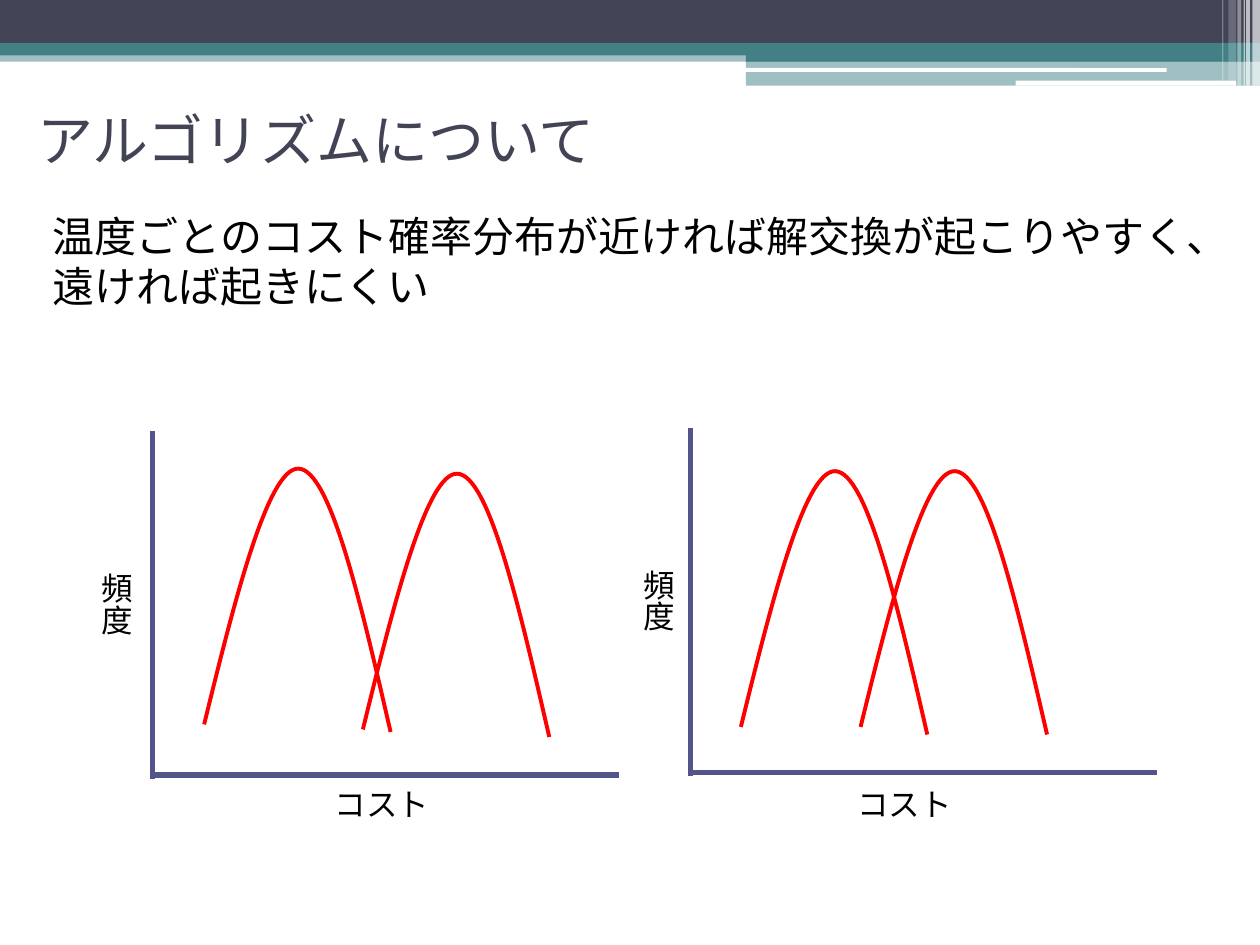
from dataclasses import dataclass

from lxml import etree
from pptx import Presentation
from pptx import util as u
from pptx.dml.color import RGBColor
from pptx.enum import shapes, text
from pptx.oxml import ns


@dataclass(frozen=True)
class Theme:
    dark: str = "424456"
    teal: str = "438086"
    axis: str = "53548A"
    curve: str = "FF0000"
    ink: str = "000000"
    white: str = "FFFFFF"
    head: str = "Lato"
    body: str = "Noto Serif"
    title: int = 32
    lead: int = 24
    label: int = 18


THEME = Theme()
RECT = shapes.MSO_SHAPE.RECTANGLE
ROUND = shapes.MSO_SHAPE.ROUNDED_RECTANGLE

# left, top, width, height, colour, opacity in percent, preset
BANDS = [
    (0, 0.4, 10, 0.09, THEME.teal, 50, RECT),
    (0, 0, 10, 0.34, THEME.dark, 100, RECT),
    (0, 0.34, 10, 0.1, THEME.teal, 100, RECT),
    (5.92, 0.39, 4.08, 0.1, THEME.teal, 100, RECT),
    (5.92, 0.48, 4.08, 0.2, THEME.teal, 50, RECT),
    (5.91, 0.54, 3.35, 0.03, THEME.white, 100, ROUND),
    (8.06, 0.64, 1.75, 0.04, THEME.white, 100, ROUND),
]
# left, width, height, opacity in percent
STRIPES = [
    (9.94, 0.06, 0.68, 65),
    (9.89, 0.03, 0.68, 65),
    (9.87, 0.01, 0.68, 60),
    (9.82, 0.03, 0.68, 40),
    (9.75, 0.06, 0.64, 20),
    (9.7, 0.01, 0.64, 30),
]
# Bell outline from its left foot: start, then two cubic segments
BELL = [(0, 2.03), (0.25, 1.01), (0.51, -0.01), (0.75, 0),
        (1, 0.01), (1.24, 1.05), (1.48, 2.09)]


def inches(*vals):
    return [u.Inches(v) for v in vals]


def add_band(slide, left, top, width, height, color, alpha, preset):
    band = slide.shapes.add_shape(preset, *inches(left, top, width, height))
    band.shadow.inherit = False
    band.line.fill.background()
    band.fill.solid()
    band.fill.fore_color.rgb = RGBColor.from_string(color)
    if alpha < 100:
        tint = band.fill._xPr.find(".//" + ns.qn("a:srgbClr"))
        etree.SubElement(tint, ns.qn("a:alpha"), val=str(alpha * 1000))


def add_text(parent, words, at, size, color=THEME.ink, font=THEME.body):
    box = parent.shapes.add_textbox(*inches(*at))
    frame = box.text_frame
    frame.word_wrap = True
    para = frame.paragraphs[0]
    para.text = words
    para.font.size = u.Pt(size)
    para.font.name = font
    para.font.color.rgb = RGBColor.from_string(color)
    return frame


def set_line(shape, color, width):
    shape.line.color.rgb = RGBColor.from_string(color)
    shape.line.width = u.Pt(width)


def add_axis(group, start, end):
    axis = group.shapes.add_connector(
        shapes.MSO_CONNECTOR.STRAIGHT, *inches(*start, *end))
    set_line(axis, THEME.axis, 3)
    etree.SubElement(axis._element.spPr, ns.qn("a:effectLst"))


def add_bell(group, left, top):
    """Draw an open bell curve, turning each three points into a cubic."""
    pts = [tuple(inches(left + x, top + y)) for x, y in BELL]
    pen = group.shapes.build_freeform(*pts[0])
    pen.add_line_segments(pts[1:], close=False)
    bell = pen.convert_to_shape()
    bell.shadow.inherit = False
    bell.fill.background()
    set_line(bell, THEME.curve, 2.25)
    steps = bell._element.findall(".//" + ns.qn("a:lnTo"))
    trail = steps[0].getparent()
    for i in range(0, len(steps), 3):
        cubic = etree.SubElement(trail, ns.qn("a:cubicBezTo"))
        for step in steps[i:i + 3]:
            cubic.append(step[0])
            trail.remove(step)


def add_plot(slide, left, top, bells, cost, freq, align=None):
    """Draw axes, bell curves and both axis labels as one group."""
    group = slide.shapes.add_group_shape()
    base = top + 2.73
    add_axis(group, (left, top), (left, top + 2.76))
    add_axis(group, (left + 3.7, base), (left, base))
    for spot in bells:
        add_bell(group, *spot)
    frame = add_text(group, "コスト", cost, THEME.label)
    frame.paragraphs[0].alignment = align
    frame = add_text(group, "頻度", freq, THEME.label)
    frame._txBody.bodyPr.set("vert", "eaVert")


def main():
    prs = Presentation()
    prs.slide_width, prs.slide_height = inches(10, 7.5)
    slide = prs.slides.add_slide(prs.slide_layouts[6])
    for band in BANDS:
        add_band(slide, *band)
    for left, width, height, alpha in STRIPES:
        add_band(slide, left, 0, width, height, THEME.white, alpha, RECT)

    title = add_text(slide, "アルゴリズムについて", (0.2, 0.52, 9, 1.17),
                     THEME.title, THEME.dark, THEME.head)
    title.vertical_anchor = text.MSO_ANCHOR.MIDDLE
    lead = add_text(
        slide,
        "温度ごとのコスト確率分布が近ければ解交換が起こりやすく、遠ければ起きにくい",
        (0.2, 1.62, 9.61, 5.57), THEME.lead)
    para = lead.paragraphs[0]
    para.space_before = u.Pt(3)
    para._p.get_or_add_pPr().set("marL", str(u.Inches(0.12)))

    add_plot(slide, 1.21, 3.42, [(1.62, 3.72), (2.88, 3.76)],
             (2.56, 6.18, 1.07, 0.4), (0.62, 4.45, 0.5, 1.5))
    add_plot(slide, 5.48, 3.4, [(5.88, 3.74), (6.83, 3.74)],
             (6.47, 6.18, 1.42, 0.4), (4.92, 4.42, 0.5, 1.06),
             text.PP_ALIGN.CENTER)
    prs.save("out.pptx")


if __name__ == "__main__":
    main()
